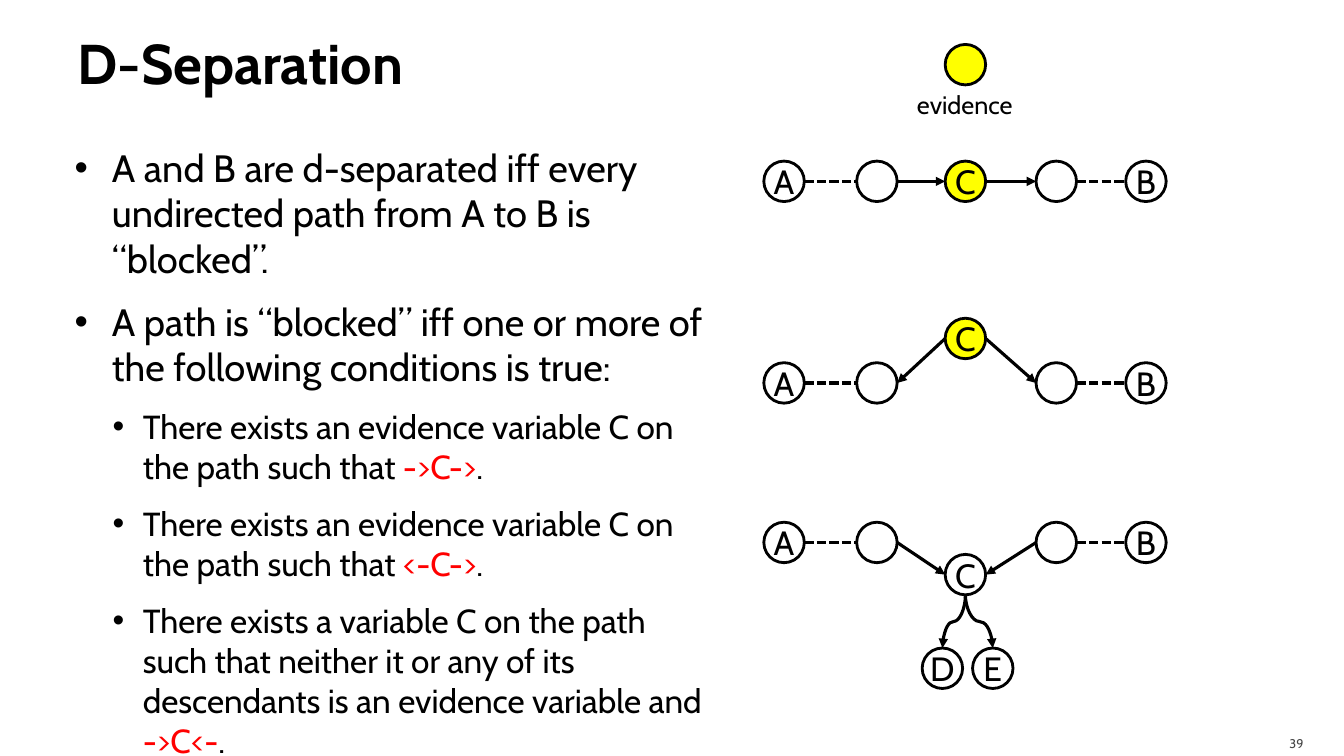
from lxml.etree import SubElement
from pptx import Presentation
from pptx.dml.color import RGBColor
from pptx.enum.dml import MSO_LINE
from pptx.enum.shapes import MSO_CONNECTOR, MSO_SHAPE
from pptx.enum.text import MSO_ANCHOR, MSO_AUTO_SIZE, PP_ALIGN
from pptx.oxml.ns import qn
from pptx.util import Cm, Pt

BLACK = RGBColor(0, 0, 0)
RED = RGBColor(0xFF, 0, 0)
YELLOW = RGBColor(0xFF, 0xFF, 0)
GRAY = RGBColor(0x45, 0x45, 0x45)
FONT = "Cabin"

TITLE = "D-Separation"
BULLETS = [
    (0, ["A and B are d-separated iff every undirected path from A to B is “blocked”."]),
    (0, ["A path is “blocked” iff one or more of the following conditions is true:"]),
    (1, ["There exists an evidence variable C on the path such that ", "->C->", "."]),
    (1, ["There exists an evidence variable C on the path such that ", "<-C->", "."]),
    (1, ["There exists a variable C on the path such that neither it or any of its "
         "descendants is an evidence variable and ", "->C<-", "."]),
]
LEVELS = [(27.2, 0.97, -0.94), (23.8, 1.75, -0.76)]

NODE = 1.02
R = NODE / 2
A_X, LEFT_X, C_X, RIGHT_X, B_X = 19.76, 22.1, 24.33, 26.62, 28.88
PATHS = [
    {"y": 4.57, "c_y": 4.57, "fill": YELLOW, "into_c": (True, False)},
    {"y": 9.65, "c_y": 8.53, "fill": YELLOW, "into_c": (False, False)},
    {"y": 13.67, "c_y": 14.48, "fill": None, "into_c": (True, True)},
]
CHILD_Y = 16.84
CHILDREN = [("D", 23.75), ("E", 25.02)]
EVIDENCE_Y = 1.63


def style(r, size, color=BLACK, bold=False):
    """Format one run of text."""
    r.font.name = FONT
    r.font.size = Pt(size)
    r.font.color.rgb = color
    r.font.bold = bold


def place(sp, left, top, width, height):
    """Move and size a shape in centimetres."""
    sp.left, sp.top, sp.width, sp.height = Cm(left), Cm(top), Cm(width), Cm(height)


def set_insets(tf, left, top, right, bottom):
    """Set the four text margins in centimetres."""
    tf.margin_left, tf.margin_top = Cm(left), Cm(top)
    tf.margin_right, tf.margin_bottom = Cm(right), Cm(bottom)


def add_bullet(p, level, parts):
    """Fill a paragraph with a bulleted line whose second part is red."""
    size, margin, indent = LEVELS[level]
    p.level = level
    p.space_before = p.space_after = Pt(6)
    pPr = p._p.get_or_add_pPr()
    pPr.set("marL", str(Cm(margin)))
    pPr.set("indent", str(Cm(indent)))
    clr = SubElement(pPr, qn("a:buClr"))
    SubElement(clr, qn("a:srgbClr")).set("val", str(BLACK))
    SubElement(pPr, qn("a:buFont")).set("typeface", "Arial")
    SubElement(pPr, qn("a:buChar")).set("char", "•")
    for i, part in enumerate(parts):
        r = p.add_run()
        r.text = part
        style(r, size, RED if i == 1 else BLACK)


def add_node(s, x, y, label="", fill=None):
    """Draw a round node centred on a point."""
    sp = s.shapes.add_shape(MSO_SHAPE.OVAL, Cm(x - R), Cm(y - R), Cm(NODE), Cm(NODE))
    sp.shadow.inherit = False
    sp.line.color.rgb = BLACK
    sp.line.width = Pt(2)
    if fill is None:
        sp.fill.background()
    else:
        sp.fill.solid()
        sp.fill.fore_color.rgb = fill
    if label:
        tf = sp.text_frame
        set_insets(tf, 0, 0, 0, 0)
        tf.vertical_anchor = MSO_ANCHOR.MIDDLE
        tf.text = label
        p = tf.paragraphs[0]
        p.alignment = PP_ALIGN.CENTER
        style(p.runs[0], 24)


def add_link(s, start, end, arrow=True, kind=MSO_CONNECTOR.STRAIGHT):
    """Draw a solid arrow or a plain dashed line between two points."""
    cxn = s.shapes.add_connector(kind, *map(Cm, start + end))
    cxn.line.color.rgb = BLACK
    cxn.line.width = Pt(2.25)
    if arrow:
        SubElement(cxn.line._get_or_add_ln(), qn("a:tailEnd")).set("type", "triangle")
    else:
        cxn.line.dash_style = MSO_LINE.SQUARE_DOT
    SubElement(cxn.element.spPr, qn("a:effectLst"))
    return cxn


def add_curve(s, start, end):
    """Draw a curved arrow that leaves and arrives vertically."""
    (x1, y1), (x2, y2) = start, end
    x, y = (x1 + x2) / 2, (y1 + y2) / 2
    side = 1 if x2 > x1 else -1
    half_w, half_h = (y2 - y1) / 2, abs(x2 - x1) / 2
    cxn = add_link(s, (x + side * half_w, y - half_h), (x - side * half_w, y + half_h),
                   kind=MSO_CONNECTOR.CURVE)
    angle = 270 if side > 0 else 90
    cxn.element.spPr.find(qn("a:xfrm")).set("rot", str(angle * 60000))


def add_path(s, y, c_y, fill, into_c):
    """Draw one path from A to B through C."""
    for x, label in [(A_X, "A"), (LEFT_X, ""), (RIGHT_X, ""), (B_X, "B")]:
        add_node(s, x, y, label)
    add_node(s, C_X, c_y, "C", fill)
    for x1, x2 in [(A_X, LEFT_X), (RIGHT_X, B_X)]:
        add_link(s, (x1 + R, y), (x2 - R, y), arrow=False)
    for x, side, inward in zip((LEFT_X, RIGHT_X), (1, -1), into_c):
        outer, inner = (x + side * R, y), (C_X - side * R, c_y)
        add_link(s, *((outer, inner) if inward else (inner, outer)))


def add_label(s, box, text, size, color=BLACK):
    """Add a text box holding one line."""
    sp = s.shapes.add_textbox(*map(Cm, box))
    sp.text_frame.text = text
    style(sp.text_frame.paragraphs[0].runs[0], size, color)
    return sp.text_frame


def main():
    """Build the slide and save it."""
    prs = Presentation()
    prs.slide_width, prs.slide_height = Cm(33.87), Cm(19.05)
    s = prs.slides.add_slide(prs.slide_layouts[1])

    title, body = s.placeholders
    place(title, 1.7, 0.2, 30.48, 2.74)
    tf = title.text_frame
    tf.text = TITLE
    tf.auto_size = MSO_AUTO_SIZE.NONE
    tf.vertical_anchor = MSO_ANCHOR.MIDDLE
    set_insets(tf, 0.25, 0.13, 0.13, 0.13)
    tf.paragraphs[0].alignment = PP_ALIGN.LEFT
    style(tf.paragraphs[0].runs[0], 40, bold=True)

    place(body, 1.7, 3.38, 16.54, 14.81)
    tf = body.text_frame
    tf.auto_size = MSO_AUTO_SIZE.NONE
    set_insets(tf, 0.15, 0.25, 0.25, 0.13)
    for i, (level, parts) in enumerate(BULLETS):
        add_bullet(tf.add_paragraph() if i else tf.paragraphs[0], level, parts)

    tf = add_label(s, (30.38, 18.29, 2.72, 0.76), "39", 9, GRAY)
    tf.word_wrap = True
    tf.vertical_anchor = MSO_ANCHOR.MIDDLE
    set_insets(tf, 0.25, 0.13, 0.25, 0)
    tf.paragraphs[0].alignment = PP_ALIGN.RIGHT

    for path in PATHS:
        add_path(s, **path)
    for label, x in CHILDREN:
        add_node(s, x, CHILD_Y, label)
        add_curve(s, (C_X, PATHS[-1]["c_y"] + R), (x, CHILD_Y - R))

    add_node(s, C_X, EVIDENCE_Y, fill=YELLOW)
    tf = add_label(s, (22.86, 2.13, 2.95, 1.02), "evidence", 18)
    tf.word_wrap = False
    tf.auto_size = MSO_AUTO_SIZE.SHAPE_TO_FIT_TEXT

    prs.save("out.pptx")


if __name__ == "__main__":
    main()
